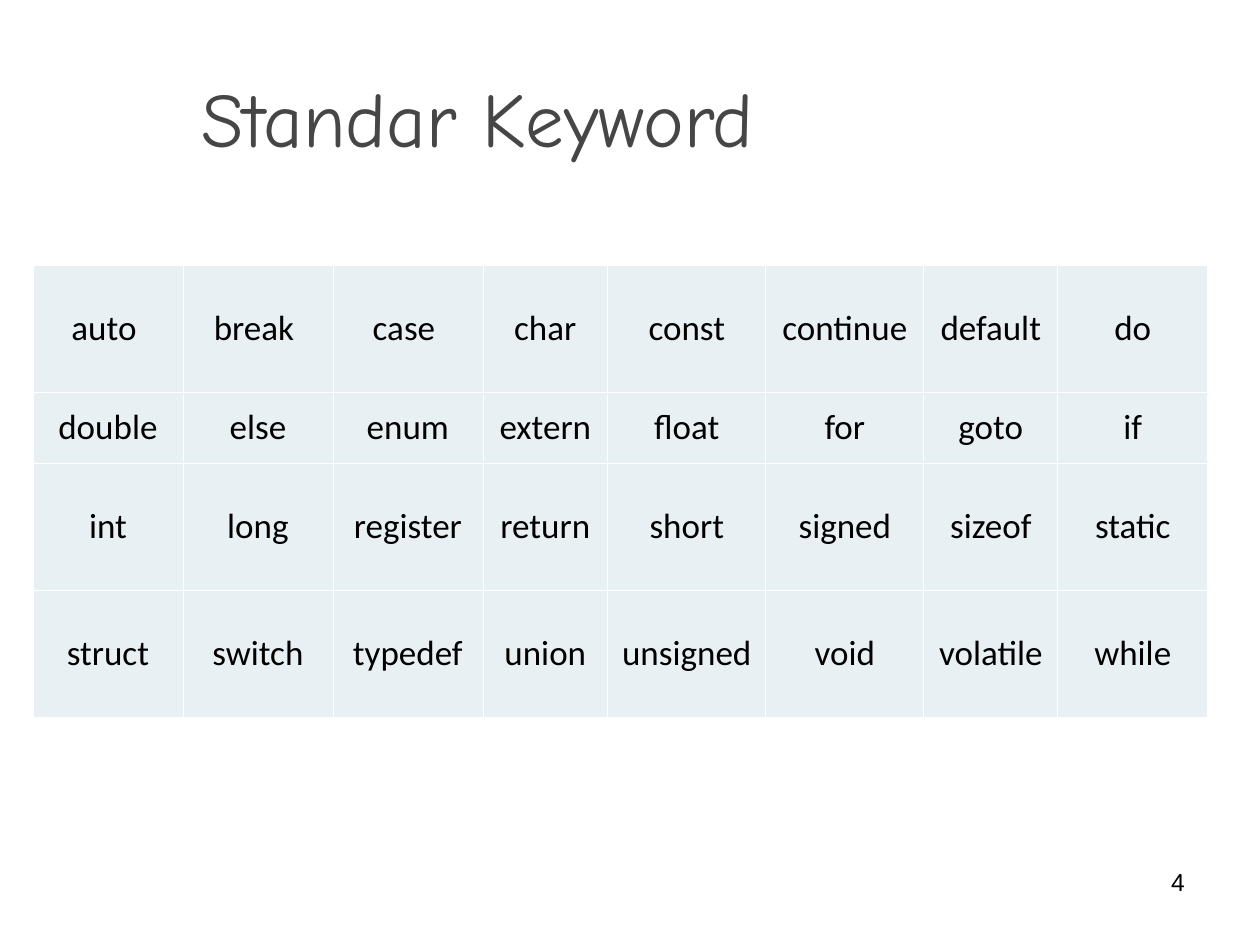
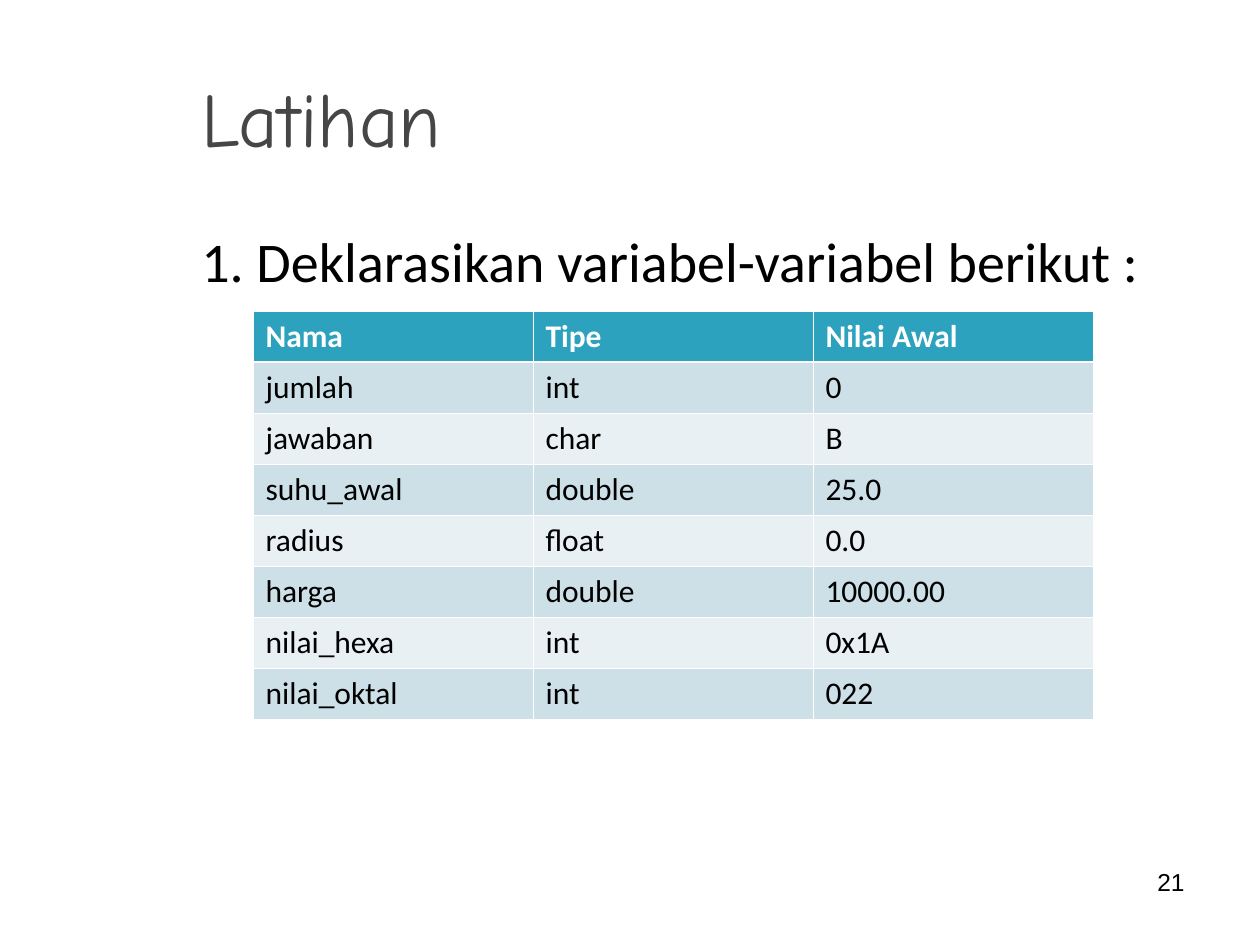
from lxml import etree
from pptx import Presentation
from pptx import util as u
from pptx.dml.color import RGBColor
from pptx.enum import text
from pptx.oxml import ns

PX = 914400 // 126
WHITE, BLACK, TITLE_GREY = "FFFFFF", "000000", "464646"
HEADER_TEAL, BAND_DARK, BAND_LIGHT = "2DA2BF", "CDE0E8", "E8F0F4"
THIN, THICK = 0.45, 1.47
LEFT, CENTER, RIGHT = text.PP_ALIGN.LEFT, text.PP_ALIGN.CENTER, text.PP_ALIGN.RIGHT
TOP, MIDDLE = text.MSO_ANCHOR.TOP, text.MSO_ANCHOR.MIDDLE


def write(frame, words, font, size, color, align=LEFT, anchor=TOP, bold=False):
    frame.word_wrap = True
    frame.vertical_anchor = anchor
    para = frame.paragraphs[0]
    para.text = words
    para.alignment = align
    para.font.name, para.font.size, para.font.bold = font, u.Pt(size), bold
    para.font.color.rgb = RGBColor.from_string(color)
    return para


def add_grid(page, left, top, widths, heights, rows, fills, size, align, anchor, header):
    frame = page.shapes.add_table(len(rows), len(widths), left * PX, top * PX,
                                  sum(widths) * PX, sum(heights) * PX)
    table = frame.table
    table.first_row = table.horz_banding = False
    for column, width in zip(table.columns, widths):
        column.width = width * PX
    for r, words in enumerate(rows):
        table.rows[r].height = heights[r] * PX
        is_header = header and r == 0
        for c, word in enumerate(words):
            cell = table.cell(r, c)
            cell.vertical_anchor = anchor
            write(cell.text_frame, word, "Calibri", size,
                  WHITE if is_header else BLACK, align, bold=is_header)
            cell.fill.solid()
            cell.fill.fore_color.rgb = RGBColor.from_string(fills[r])

            # White borders, heavier below the header row
            above = THICK if header and r == 1 else THIN
            below = THICK if is_header else THIN
            sides = [("lnL", THIN), ("lnR", THIN), ("lnT", above), ("lnB", below)]
            properties = cell._tc.get_or_add_tcPr()
            for i, (side, points) in enumerate(sides):
                line = etree.Element(ns.qn("a:" + side), w=str(u.Pt(points)))
                solid = etree.SubElement(line, ns.qn("a:solidFill"))
                etree.SubElement(solid, ns.qn("a:srgbClr"), val=WHITE)
                properties.insert(i, line)


deck = Presentation()
deck.slide_width, deck.slide_height = 1260 * PX, 945 * PX

# Title and page number on both slides
pages = []
for title, number in [("Standar Keyword", "4"), ("Latihan", "21")]:
    page = deck.slides.add_slide(deck.slide_layouts[6])
    box = page.shapes.add_textbox(189 * PX, 38 * PX, 1058 * PX, 157 * PX)
    write(box.text_frame, title, "Comic Neue", 44, TITLE_GREY, anchor=MIDDLE)
    box = page.shapes.add_textbox(903 * PX, 861 * PX, 294 * PX, 65 * PX)
    write(box.text_frame, number, "Arial", 14, BLACK, RIGHT)
    pages.append(page)
keyword_page, exercise_page = pages

# Keyword table
keywords = [
    ["auto ", "break ", "case ", "char", "const", "continue", "default", "do"],
    ["double", "else", "enum", "extern", "float", "for", "goto", "if"],
    ["int", "long", "register", "return", "short", "signed", "sizeof", "static"],
    ["struct", "switch", "typedef", "union", "unsigned", "void", "volatile", "while"],
]
add_grid(keyword_page, 33, 265, [150, 150, 150, 125, 158, 158, 134, 150],
         [127, 71, 127, 127], keywords, [BAND_LIGHT] * 4, 20, CENTER, MIDDLE, False)

# Exercise prompt with a hanging indent
box = exercise_page.shapes.add_textbox(189 * PX, 220 * PX, 1058 * PX, 624 * PX)
para = write(box.text_frame, "1. Deklarasikan variabel-variabel berikut :",
             "Calibri", 32, BLACK)
para.space_before = u.Pt(8)
indent = 70 * PX
para_properties = para._p.get_or_add_pPr()
para_properties.set("marL", str(indent))
para_properties.set("indent", str(-indent))

# Variable table
variables = [
    ["Nama", "Tipe", "Nilai Awal"],
    ["jumlah", "int", "0"],
    ["jawaban", "char", "B"],
    ["suhu_awal", "double", "25.0"],
    ["radius", "float", "0.0"],
    ["harga", "double", "10000.00"],
    ["nilai_hexa", "int", "0x1A"],
    ["nilai_oktal", "int", "022"],
]
bands = [HEADER_TEAL] + [BAND_DARK if r % 2 else BAND_LIGHT
                         for r in range(1, len(variables))]
add_grid(exercise_page, 253, 311, [280] * 3, [51] * len(variables),
         variables, bands, 18, LEFT, TOP, True)

deck.save("out.pptx")
